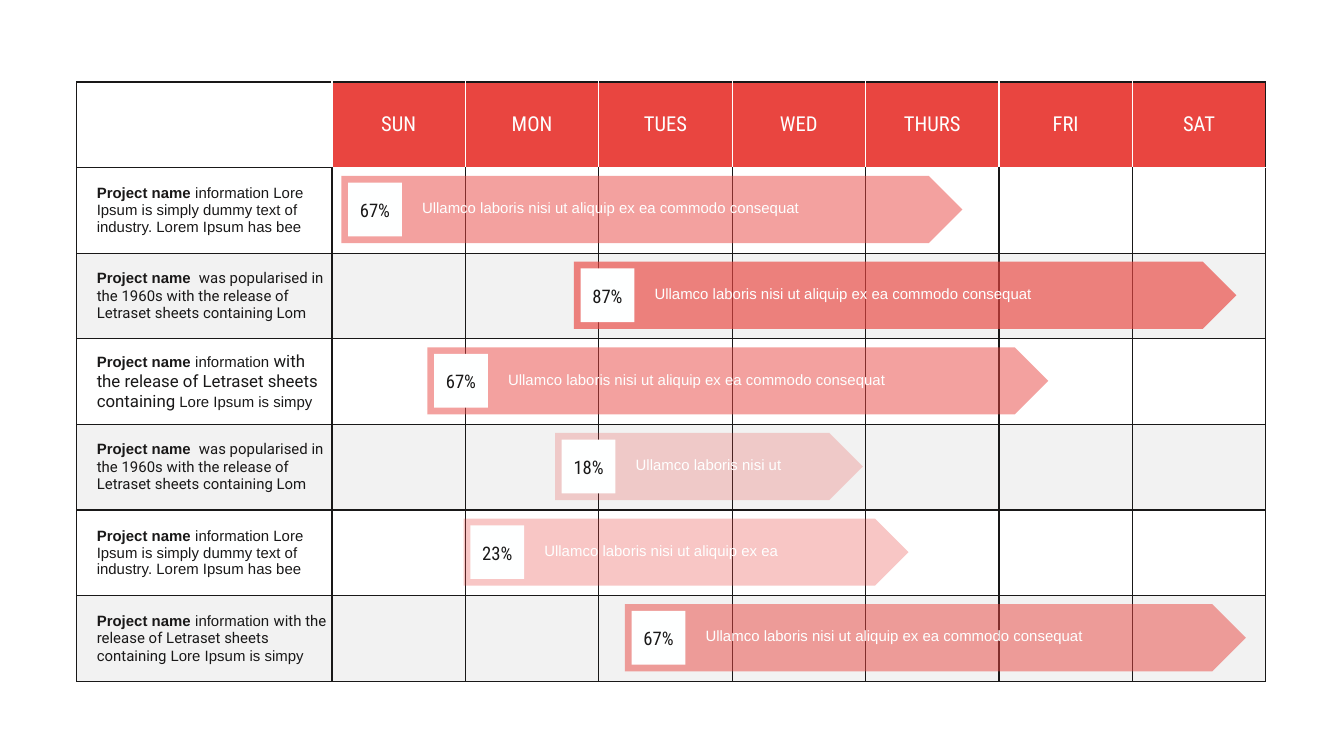
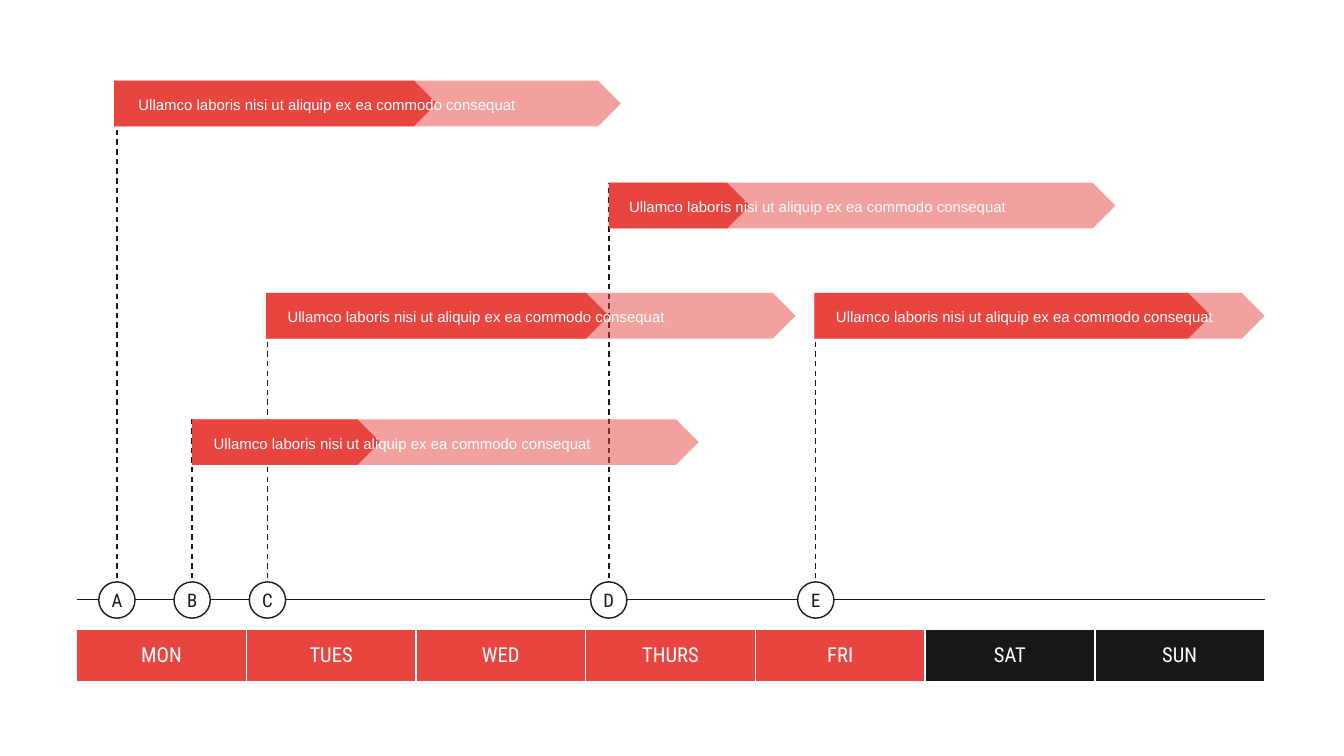
import dataclasses
import typing

import lxml.etree
import pptx
import pptx.dml.color
import pptx.dml.fill
import pptx.enum.dml
import pptx.enum.shapes
import pptx.enum.text
import pptx.oxml.ns
import pptx.shapes.autoshape
import pptx.shapes.connector
import pptx.shapes.shapetree
import pptx.slide
import pptx.table
import pptx.util

Inches = pptx.util.Inches
qn = pptx.oxml.ns.qn
ShapeKind = pptx.enum.shapes.MSO_SHAPE
Align = pptx.enum.text.PP_ALIGN
Shapes = pptx.shapes.shapetree.SlideShapes | pptx.shapes.shapetree.GroupShapes


@dataclasses.dataclass(frozen=True)
class TypeStyle:
    font: str
    size: float
    colour: str
    bold: bool = False


@dataclasses.dataclass(frozen=True)
class Theme:
    accent: str = "E94540"
    dark: str = "191818"
    light: str = "FEFFFF"
    stripe: str = "E7E7E7"
    stripe_alpha: int = 50
    bar_alpha: int = 50
    line_width: float = 0.75
    day: TypeStyle = TypeStyle("Roboto Condensed", 11, light)
    marker: TypeStyle = TypeStyle("Roboto Condensed", 10, dark)
    bar: TypeStyle = TypeStyle("Arial", 8, light)
    lead: TypeStyle = TypeStyle("Arial", 8, dark, True)
    body: TypeStyle = TypeStyle("Arial", 8, dark)
    alternate: TypeStyle = TypeStyle("Roboto", 8, dark)
    large: TypeStyle = TypeStyle("Roboto", 9, dark)


THEME = Theme()
SLIDE_WIDTH = 10
LEFT = 0.57
BAR_TEXT = "Ullamco laboris nisi ut aliquip ex ea commodo consequat"
BAR_TEXT_WIDTH = 3.11


class Run(typing.NamedTuple):
    text: str
    style: TypeStyle


class Edge(typing.NamedTuple):
    colour: str
    width: float = THEME.line_width


class Project(typing.NamedTuple):
    description: list[Run]
    left: float
    width: float
    percent: str
    alpha: int = THEME.bar_alpha
    text: str = BAR_TEXT
    text_width: float = BAR_TEXT_WIDTH


class Milestone(typing.NamedTuple):
    letter: str
    line_left: float
    bar_left: float
    top: float
    width: float
    done: float
    text_offset: float = 0.12


LEAD = Run("Project name ", THEME.lead)
INDUSTRY = [LEAD, Run("information Lore Ipsum is simply dummy text of industry. Lorem Ipsum has bee", THEME.body)]
POPULARISED = [LEAD, Run(" was popularised in the 1960s with the release of Letraset sheets containing Lom",
                         THEME.alternate)]


def release(style: TypeStyle) -> list[Run]:
    return [LEAD, Run("information ", THEME.body),
            Run("with the release of Letraset sheets containing ", style),
            Run("Lore Ipsum is simpy", THEME.body)]


PROJECTS = [
    Project(INDUSTRY, 2.54, 4.62, "67%"),
    Project(POPULARISED, 4.27, 4.93, "87%", 66),
    Project(release(THEME.large), 3.18, 4.62, "67%"),
    Project(POPULARISED, 4.13, 2.29, "18%", 23, "Ullamco laboris nisi ut", 1.4),
    Project(INDUSTRY, 3.45, 3.31, "23%", 30, "Ullamco laboris nisi ut aliquip ex ea", 2.08),
    Project(release(THEME.alternate), 4.65, 4.62, "67%"),
]
MILESTONES = [
    Milestone("A", 0.87, 0.85, 0.6, 3.77, 2.4, 0.14),
    Milestone("B", 1.43, 1.43, 3.12, 3.77, 1.4),
    Milestone("C", 1.99, 1.98, 2.18, 3.94, 2.55),
    Milestone("D", 4.53, 4.53, 1.36, 3.77, 1.05, 0.11),
    Milestone("E", 6.07, 6.06, 2.18, 3.35, 2.95),
]


def set_values(target: object, values: dict[str, typing.Any]) -> None:
    for name, value in values.items():
        setattr(target, name, value)


def rgb(colour: str) -> pptx.dml.color.RGBColor:
    return pptx.dml.color.RGBColor.from_string(colour)


def paint(fill: pptx.dml.fill.FillFormat, properties: lxml.etree._Element, colour: str, alpha: int = 100) -> None:
    fill.solid()
    fill.fore_color.rgb = rgb(colour)
    if alpha < 100:
        colour_element = properties.find(qn("a:solidFill"))[0]
        lxml.etree.SubElement(colour_element, qn("a:alpha"), val=str(alpha * 1000))


def write_runs(frame: pptx.text.text.TextFrame, runs: list[Run], alignment: Align) -> None:
    paragraph = frame.paragraphs[0]
    paragraph.alignment = alignment
    for item in runs:
        run = paragraph.add_run()
        run.text = item.text
        set_values(run.font, {"name": item.style.font, "size": pptx.util.Pt(item.style.size),
                              "bold": item.style.bold})
        run.font.color.rgb = rgb(item.style.colour)


def add_text(shapes: Shapes, left: float, top: float, width: float, height: float, run: Run,
             alignment: Align = Align.LEFT, side_margin: float = 0.04) -> None:
    frame = shapes.add_textbox(Inches(left), Inches(top), Inches(width), Inches(height)).text_frame
    set_values(frame, {"word_wrap": True,
                       "margin_left": Inches(side_margin), "margin_right": Inches(side_margin),
                       "margin_top": Inches(0.02), "margin_bottom": Inches(0.02)})
    write_runs(frame, [run], alignment)


def add_marker_text(shapes: Shapes, left: float, top: float, width: float, text: str) -> None:
    add_text(shapes, left, top, width, 0.2, Run(text, THEME.marker), Align.CENTER, 0.02)


def add_block(shapes: Shapes, kind: ShapeKind, left: float, top: float, width: float, height: float,
              colour: str, alpha: int = 100) -> pptx.shapes.autoshape.Shape:
    shape = shapes.add_shape(kind, Inches(left), Inches(top), Inches(width), Inches(height))
    shape.shadow.inherit = False
    paint(shape.fill, shape.element.spPr, colour, alpha)
    shape.line.fill.background()
    return shape


def add_line(shapes: Shapes, start: tuple[float, float], end: tuple[float, float], dashed: bool = False) -> None:
    connector = shapes.add_connector(pptx.enum.shapes.MSO_CONNECTOR.STRAIGHT,
                                     *(Inches(value) for value in (*start, *end)))
    connector.line.color.rgb = rgb(THEME.dark)
    connector.line.width = pptx.util.Pt(THEME.line_width)
    if dashed:
        connector.line.dash_style = pptx.enum.dml.MSO_LINE.DASH
    lxml.etree.SubElement(connector.element.spPr, qn("a:effectLst"))


def add_grid(slide: pptx.slide.Slide, top: float, widths: list[float], heights: list[float]) -> pptx.table.Table:
    table = slide.shapes.add_table(len(heights), len(widths), Inches(LEFT), Inches(top),
                                   Inches(sum(widths)), Inches(sum(heights))).table
    set_values(table, {"first_row": False, "horz_banding": False})
    for column, width in zip(table.columns, widths):
        column.width = Inches(width)
    for row, height in zip(table.rows, heights):
        row.height = Inches(height)
    return table


def format_cell(cell: pptx.table._Cell, edges: dict[str, Edge], runs: list[Run], alignment: Align,
                left_margin: float, colour: str | None, alpha: int = 100) -> None:
    set_values(cell, {"margin_left": Inches(left_margin), "margin_right": Inches(0.04),
                      "margin_top": Inches(0.02), "margin_bottom": Inches(0.02),
                      "vertical_anchor": pptx.enum.text.MSO_ANCHOR.MIDDLE})
    properties = cell._tc.get_or_add_tcPr()
    for side in "LRTB":
        line = lxml.etree.SubElement(properties, qn(f"a:ln{side}"), w=str(pptx.util.Pt(edges[side].width)))
        solid = lxml.etree.SubElement(line, qn("a:solidFill"))
        lxml.etree.SubElement(solid, qn("a:srgbClr"), val=edges[side].colour)
    if colour:
        paint(cell.fill, properties, colour, alpha)
    else:
        cell.fill.background()
    write_runs(cell.text_frame, runs, alignment)


def format_day(cell: pptx.table._Cell, day: str, edges: dict[str, Edge], colour: str) -> None:
    format_cell(cell, edges, [Run(day, THEME.day)], Align.CENTER, 0.04, colour)


def add_project_bar(slide: pptx.slide.Slide, project: Project, top: float) -> None:
    shapes = slide.shapes.add_group_shape().shapes
    left = project.left
    add_block(shapes, ShapeKind.PENTAGON, left, top, project.width, 0.5, THEME.accent, project.alpha)
    add_text(shapes, left + 0.56, top + 0.15, project.text_width, 0.18, Run(project.text, THEME.bar))
    add_block(shapes, ShapeKind.RECTANGLE, left + 0.05, top + 0.05, 0.4, 0.4, THEME.light)
    add_marker_text(shapes, left + 0.05, top + 0.15, 0.4, project.percent)


def build_week_table(slide: pptx.slide.Slide) -> None:
    days = ["SUN", "MON", "TUES", "WED", "THURS", "FRI", "SAT"]
    row_height = 4.46 / (len(PROJECTS) + 1)
    name_width = 1.9
    widths = [name_width] + [(8.85 - name_width) / len(days)] * len(days)
    table = add_grid(slide, 0.61, widths, [row_height] * (len(PROJECTS) + 1))
    dark, light = Edge(THEME.dark), Edge(THEME.light)
    frame = dict.fromkeys("LRTB", dark)
    format_cell(table.cell(0, 0), frame | {"R": light}, [], Align.LEFT, 0.04, None)
    for column, day in enumerate(days, 1):
        right = dark if column == len(days) else light
        format_day(table.cell(0, column), day, {"L": light, "R": right, "T": dark, "B": light}, THEME.accent)
    for row, project in enumerate(PROJECTS, 1):
        stripe = THEME.stripe if row % 2 == 0 else None
        for column in range(len(widths)):
            edges = frame | {"T": light} if row == 1 and column else frame
            runs = [] if column else project.description
            format_cell(table.cell(row, column), edges, runs, Align.LEFT, 0.15, stripe, THEME.stripe_alpha)
    for index, project in enumerate(PROJECTS):
        add_project_bar(slide, project, 1.31 + index * row_height)


def add_milestone(slide: pptx.slide.Slide, milestone: Milestone) -> None:
    center = milestone.line_left
    add_line(slide.shapes, (center, 4.59), (center, milestone.top), dashed=True)
    circle = add_block(slide.shapes, ShapeKind.OVAL, center - 0.135, 4.33, 0.27, 0.27, THEME.light)
    circle.line.color.rgb = rgb(THEME.dark)
    circle.line.width = pptx.util.Pt(THEME.line_width)
    add_marker_text(slide.shapes, center - 0.13, 4.36, 0.26, milestone.letter)


def add_progress_bar(slide: pptx.slide.Slide, milestone: Milestone) -> None:
    shapes = slide.shapes.add_group_shape().shapes
    left, top = milestone.bar_left, milestone.top
    for width, alpha in ((milestone.width, THEME.bar_alpha), (milestone.done, 100)):
        add_block(shapes, ShapeKind.PENTAGON, left, top, width, 0.34, THEME.accent, alpha)
    add_text(shapes, left + milestone.text_offset, top + 0.09, BAR_TEXT_WIDTH, 0.18, Run(BAR_TEXT, THEME.bar))


def build_timeline(slide: pptx.slide.Slide) -> None:
    days = ["MON", "TUES", "WED", "THURS", "FRI", "SAT", "SUN"]
    add_line(slide.shapes, (LEFT, 4.46), (9.41, 4.46))
    table = add_grid(slide, 4.68, [8.84 / len(days)] * len(days), [0.39])
    edges = dict.fromkeys("LRTB", Edge(THEME.light, 1))
    for column, day in enumerate(days):
        colour = THEME.dark if day in ("SAT", "SUN") else THEME.accent
        format_day(table.cell(0, column), day, edges, colour)
    for milestone in MILESTONES:
        add_milestone(slide, milestone)
    for milestone in MILESTONES:
        add_progress_bar(slide, milestone)


def main() -> None:
    presentation = pptx.Presentation()
    set_values(presentation, {"slide_width": Inches(SLIDE_WIDTH), "slide_height": Inches(SLIDE_WIDTH * 9 / 16)})
    blank_layout = presentation.slide_layouts[6]
    for build in (build_week_table, build_timeline):
        build(presentation.slides.add_slide(blank_layout))
    presentation.save("out.pptx")


if __name__ == "__main__":
    main()
